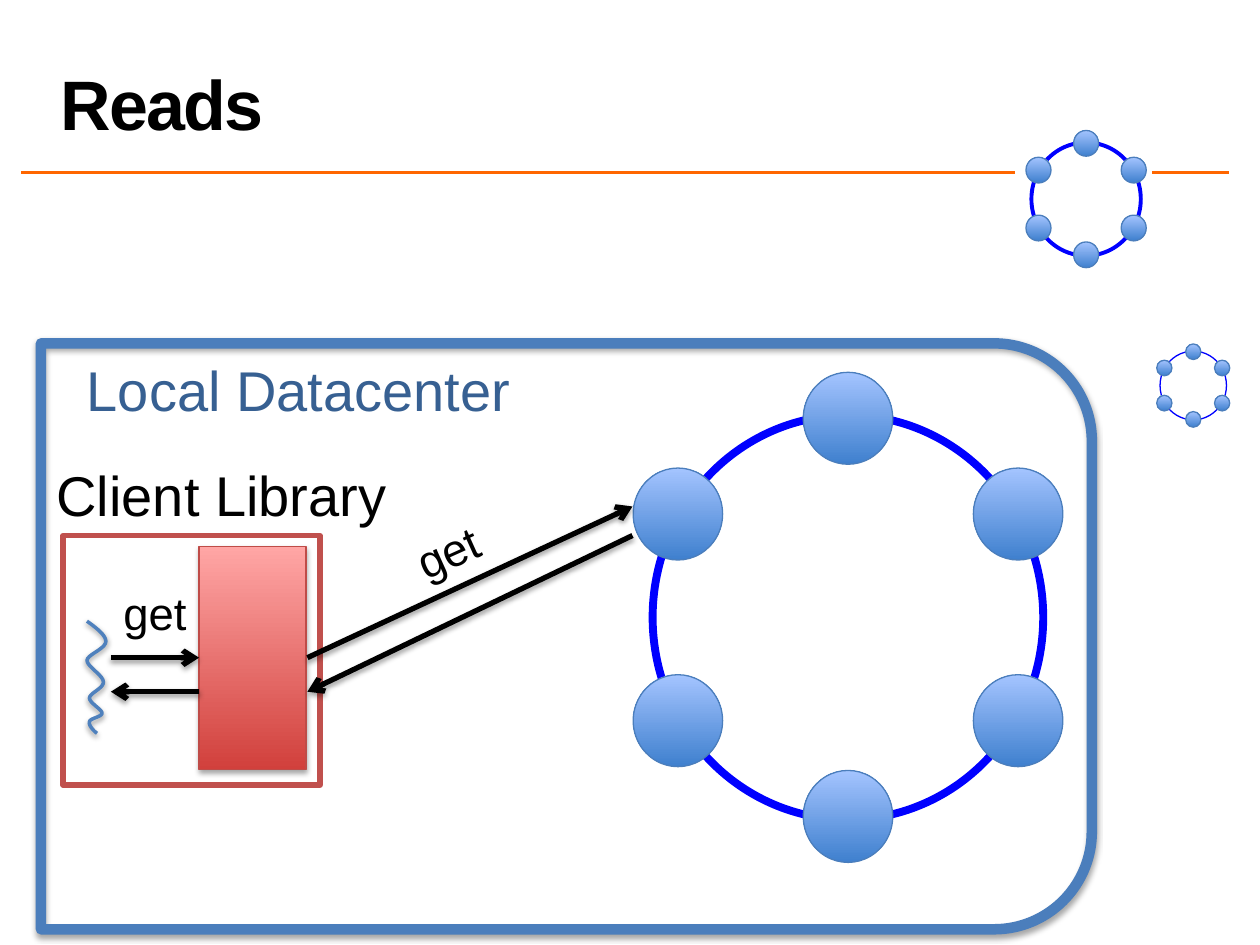
from dataclasses import dataclass
from typing import Optional

from lxml import etree
from pptx import Presentation
from pptx.dml.color import RGBColor
from pptx.enum.shapes import MSO_CONNECTOR, MSO_SHAPE
from pptx.enum.text import MSO_ANCHOR, MSO_AUTO_SIZE, PP_ALIGN
from pptx.oxml import parse_xml
from pptx.oxml.ns import qn
from pptx.util import Inches, Pt

STRAIGHT = MSO_CONNECTOR.STRAIGHT
ELLIPSE = MSO_SHAPE.OVAL
RECTANGLE = MSO_SHAPE.RECTANGLE
ROUNDED_TOP = MSO_SHAPE.ROUND_2_SAME_RECTANGLE
BOTTOM, TOP = MSO_ANCHOR.BOTTOM, MSO_ANCHOR.TOP
GROW, FIXED = MSO_AUTO_SIZE.SHAPE_TO_FIT_TEXT, MSO_AUTO_SIZE.NONE
LEFT, CENTER = PP_ALIGN.LEFT, PP_ALIGN.CENTER

COLORS = {
    "rule": "FF6600", "white": "FFFFFF", "black": "000000",
    "ring": "0000FF", "node_dark": "3F80CE", "node_light": "A4C4FF",
    "node_edge": "4B7EBC", "client_edge": "C0504D", "library_edge": "BF4C48",
    "library_dark": "D1403C", "library_light": "FFA6A5",
    "thread": "4F81BD", "datacenter": "376092",
}
NODE_FILL = ("node_dark", "node_light")
LIBRARY_FILL = ("library_dark", "library_light")
DRAWING_NS = "http://schemas.openxmlformats.org/drawingml/2006/main"


@dataclass
class Ring:
    x: float
    y: float
    scale: float
    weight: float


@dataclass
class Arrow:
    start: tuple[float, float]
    end: tuple[float, float]


@dataclass
class Label:
    text: str
    box: tuple[float, float, float, float]
    size: float
    color: str = "black"
    align: PP_ALIGN = LEFT
    wrap: bool = True
    rotation: float = 0
    title: bool = False


@dataclass
class Shadow:
    alpha: int
    distance: float


BOX_SHADOW = Shadow(35, 1.8)
LINE_SHADOW = Shadow(38, 1.6)

LARGE_RING = Ring(6.73, 4.9, 1, 4.5)
SMALL_RING = Ring(9.47, 3.06, 0.17, 0.75)
MEDIUM_RING = Ring(8.62, 1.58, 0.28, 2.25)
RING_SIZE = (3.1, 3.21)
NODE_SIZE = (0.71, 0.73)
NODE_OFFSETS = [(0, -1.58), (0, 1.58)] + [
    (x, y) for x in (-1.35, 1.35) for y in (-0.82, 0.82)
]

ARROWS = [
    Arrow((5.02, 4.25), (2.44, 5.49)),
    Arrow((1.58, 5.49), (0.88, 5.49)),
    Arrow((0.88, 5.22), (1.58, 5.22)),
    Arrow((2.44, 5.22), (5.02, 4.02)),
]
LABELS = [
    Label("get", (0.88, 4.59, 0.71, 0.54), 26, wrap=False),
    Label("get", (2.1, 4.11, 2.91, 0.54), 26, align=CENTER, rotation=335.7),
    Label("Client Library", (0.35, 3.61, 3.22, 0.64), 32),
    Label("Local Datacenter", (0.59, 2.77, 3.59, 0.64), 32, "datacenter", wrap=False),
    Label("Reads", (0.38, 0.02, 9.37, 1.17), 40, title=True),
]
THREAD_START = (0.69, 4.93)
THREAD_CURVES = [
    ((0.76, 4.98), (0.84, 5.04), (0.84, 5.09)),
    ((0.84, 5.15), (0.7, 5.19), (0.69, 5.24)),
    ((0.69, 5.29), (0.82, 5.36), (0.82, 5.41)),
    ((0.83, 5.46), (0.71, 5.5), (0.71, 5.54)),
    ((0.71, 5.58), (0.81, 5.63), (0.81, 5.66)),
    ((0.81, 5.69), (0.71, 5.7), (0.71, 5.73)),
    ((0.7, 5.75), (0.74, 5.8), (0.77, 5.82)),
]
CURVE_STEPS = 10


def rgb(name: str) -> RGBColor:
    return RGBColor.from_string(COLORS[name])


def set_effects(shape, shadow: Optional[Shadow]) -> None:
    content = ""
    if shadow:
        content = (
            f'<a:outerShdw blurRad="{Pt(3.1)}" dist="{Pt(shadow.distance)}" '
            f'dir="5400000" rotWithShape="0"><a:srgbClr val="{COLORS["black"]}">'
            f'<a:alpha val="{shadow.alpha * 1000}"/></a:srgbClr></a:outerShdw>'
        )
    effects = f'<a:effectLst xmlns:a="{DRAWING_NS}">{content}</a:effectLst>'
    shape._element.spPr.append(parse_xml(effects))


def set_line(shape, color: str, weight: float) -> None:
    shape.line.color.rgb = rgb(color)
    shape.line.width = Pt(weight)


def add_box(shapes, kind: MSO_SHAPE, box: tuple, edge: str, weight: float,
            fill: tuple = (), shadow: Optional[Shadow] = None):
    shape = shapes.add_shape(kind, *map(Inches, box))
    if len(fill) == 2:
        shape.fill.gradient()
        shape.fill.gradient_angle = 90
        for stop, color in zip(shape.fill.gradient_stops, fill):
            stop.color.rgb = rgb(color)
    elif fill:
        shape.fill.solid()
        shape.fill.fore_color.rgb = rgb(fill[0])
    else:
        shape.fill.background()
    set_line(shape, edge, weight)
    set_effects(shape, shadow)
    return shape


def add_ring(page, ring: Ring) -> None:
    group = page.shapes.add_group_shape().shapes

    def centered(size: tuple, dx: float = 0, dy: float = 0) -> tuple:
        width, height = (side * ring.scale for side in size)
        return (ring.x + dx * ring.scale - width / 2,
                ring.y + dy * ring.scale - height / 2, width, height)

    add_box(group, ELLIPSE, centered(RING_SIZE), "ring", ring.weight)
    for offset in NODE_OFFSETS:
        add_box(group, ELLIPSE, centered(NODE_SIZE, *offset), "node_edge", 0.75, NODE_FILL)


def add_line(page, start: tuple, end: tuple, color: str, weight: float,
             shadow: Optional[Shadow] = None):
    line = page.shapes.add_connector(STRAIGHT, *map(Inches, start + end))
    set_line(line, color, weight)
    set_effects(line, shadow)
    return line


def add_arrow(page, arrow: Arrow) -> None:
    line = add_line(page, arrow.start, arrow.end, "black", 3, LINE_SHADOW)
    etree.SubElement(line.line._get_or_add_ln(), qn("a:tailEnd"), type="arrow")


def add_label(page, label: Label) -> None:
    box = page.shapes.add_textbox(*map(Inches, label.box))
    box.rotation = label.rotation
    frame = box.text_frame
    frame.word_wrap = label.wrap
    frame.auto_size = FIXED if label.title else GROW
    frame.vertical_anchor = BOTTOM if label.title else TOP
    para = frame.paragraphs[0]
    para.alignment = label.align
    para.font.name = "Arial"
    para.font.size = Pt(label.size)
    para.font.bold = label.title
    para.font.color.rgb = rgb(label.color)
    span = para.add_run()
    span.text = label.text
    if label.title:
        para.line_spacing = 0.8
        span.font._element.set("spc", "-100")


def add_thread(page) -> None:
    start, points = THREAD_START, []
    for first, second, end in THREAD_CURVES:
        for step in range(1, CURVE_STEPS + 1):
            t = step / CURVE_STEPS
            weights = ((1 - t) ** 3, 3 * t * (1 - t) ** 2, 3 * t * t * (1 - t), t ** 3)
            corners = (start, first, second, end)
            points.append(tuple(
                Inches(sum(w * corner[axis] for w, corner in zip(weights, corners)))
                for axis in (0, 1)
            ))
        start = end
    builder = page.shapes.build_freeform(*map(Inches, THREAD_START))
    builder.add_line_segments(points, close=False)
    thread = builder.convert_to_shape()
    thread.fill.background()
    set_line(thread, "thread", 2)
    set_effects(thread, LINE_SHADOW)


def main() -> None:
    deck = Presentation()
    deck.slide_width, deck.slide_height = Inches(10), Inches(7.5)
    page = deck.slides.add_slide(deck.slide_layouts[6])
    add_line(page, (0.17, 1.37), (9.75, 1.37), "rule", 2)
    add_box(page.shapes, RECTANGLE, (8.06, 1.25, 1.08, 0.24), "white", 0.75, ("white",))
    add_ring(page, LARGE_RING)
    add_ring(page, SMALL_RING)
    client = page.shapes.add_group_shape().shapes
    add_box(client, RECTANGLE, (0.5, 4.25, 2.04, 1.98), "client_edge", 3, ("white",))
    add_box(client, RECTANGLE, (1.58, 4.34, 0.85, 1.77), "library_edge", 0.75,
            LIBRARY_FILL, BOX_SHADOW)
    for arrow in ARROWS:
        add_arrow(page, arrow)
    add_thread(page)
    add_ring(page, MEDIUM_RING)
    for label in LABELS:
        add_label(page, label)
    datacenter = add_box(page.shapes, ROUNDED_TOP, (2.17, 0.88, 4.65, 8.34),
                         "node_edge", 6, shadow=BOX_SHADOW)
    datacenter.rotation = 90
    deck.save("out.pptx")


if __name__ == "__main__":
    main()
